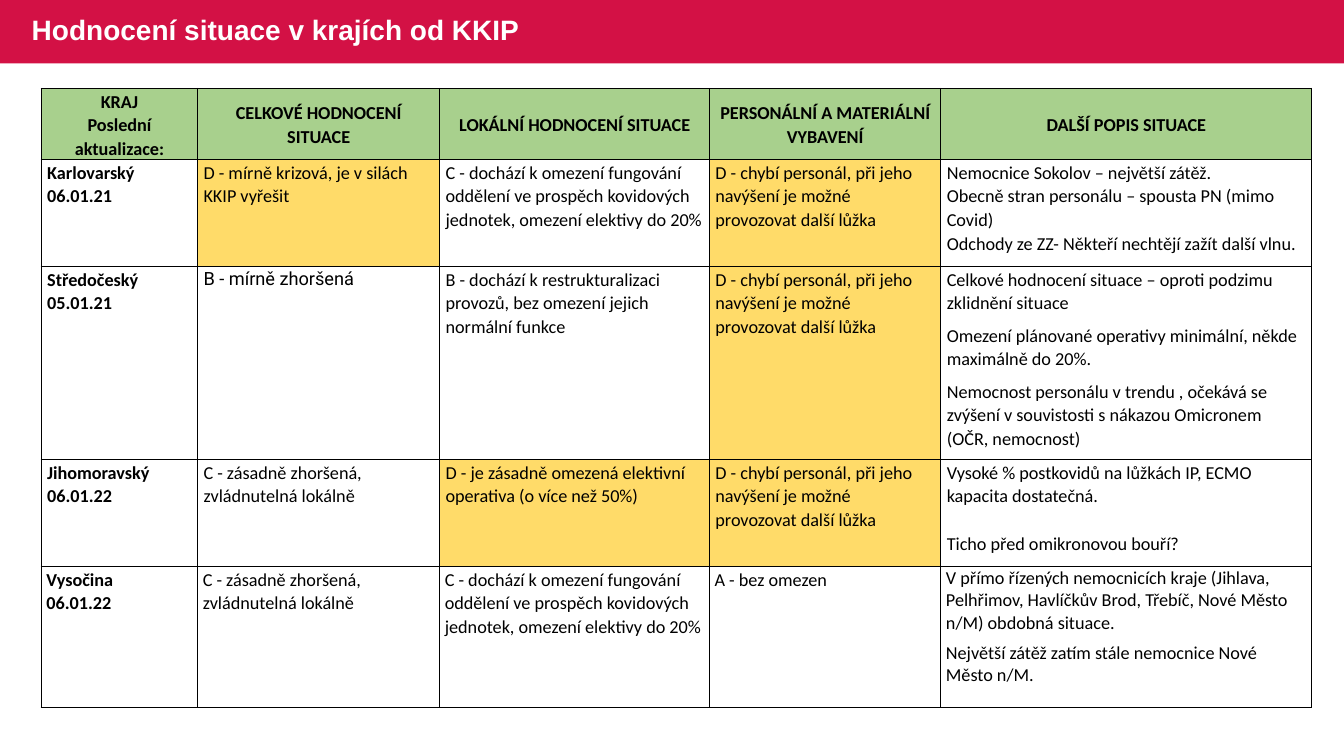
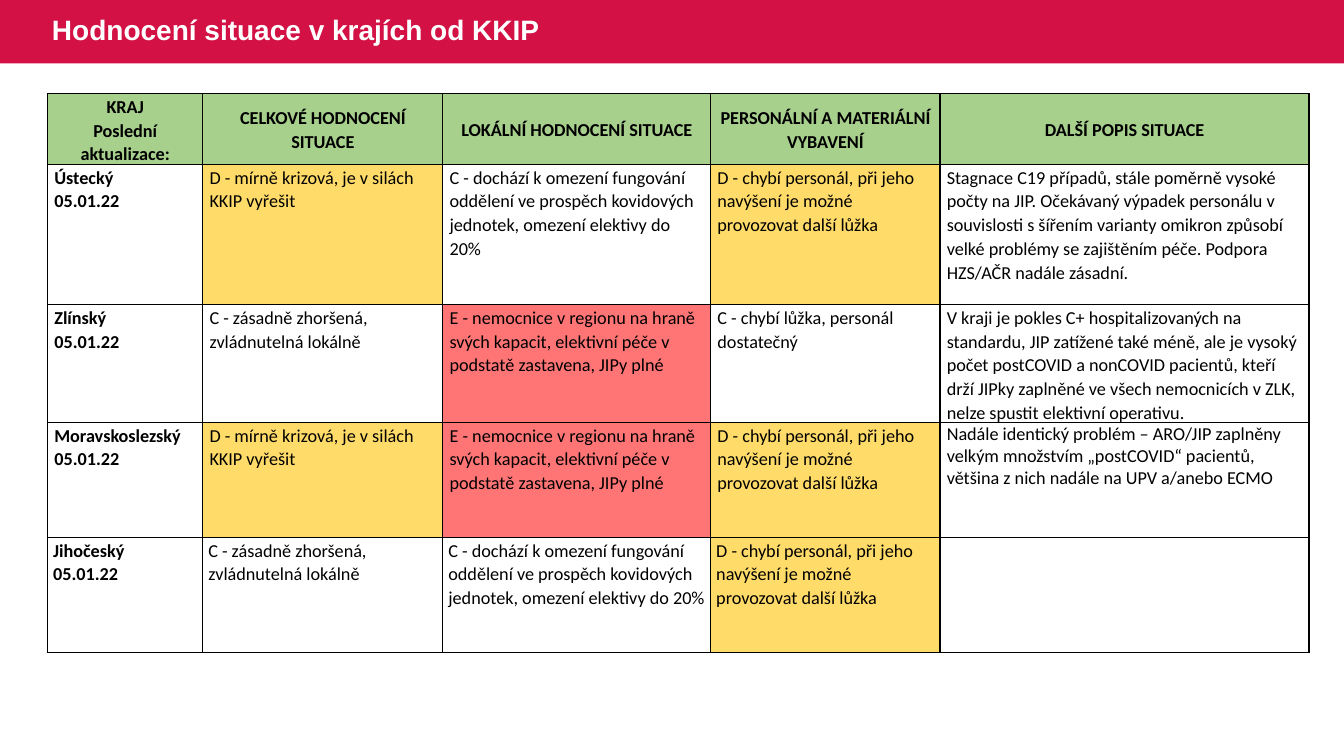
import dataclasses

import pptx
import pptx.dml.color
import pptx.enum.shapes
import pptx.enum.text
import pptx.oxml
import pptx.oxml.ns
import pptx.util
from pptx.util import Cm, Pt

# Shared look
SLIDE_WIDTH, SLIDE_HEIGHT = 33.87, 19.05
BAND_HEIGHT = 1.6
BAND_COLOR = "D31145"
HEADER_COLOR = "A8D08D"
WHITE, BLACK = "FFFFFF", "000000"
RATING_COLORS = {"D": "FFDB69", "E": "FF7575"}
TITLE = "Hodnocení situace v krajích od KKIP"
LINE_SPACING = 1.07
CENTER = pptx.enum.text.PP_ALIGN.CENTER
MIDDLE = pptx.enum.text.MSO_ANCHOR.MIDDLE

HEADERS = [
    ["KRAJ", "Poslední aktualizace:"],
    ["CELKOVÉ HODNOCENÍ SITUACE"],
    ["LOKÁLNÍ HODNOCENÍ SITUACE"],
    ["PERSONÁLNÍ A MATERIÁLNÍ VYBAVENÍ"],
    ["DALŠÍ POPIS SITUACE"],
]

# Rating scales, in column order
OVERALL = {
    "B": "mírně zhoršená",
    "C": "zásadně zhoršená, zvládnutelná lokálně",
    "D": "mírně krizová, je v silách KKIP vyřešit",
}
LOCAL = {
    "B": "dochází k restrukturalizaci provozů, bez omezení jejich normální funkce",
    "C": "dochází k omezení fungování oddělení ve prospěch kovidových jednotek, "
         "omezení elektivy do 20%",
    "D": "je zásadně omezená elektivní operativa (o více než 50%)",
    "E": "nemocnice v regionu na hraně svých kapacit, elektivní péče v podstatě "
         "zastavena, JIPy plné",
}
RESOURCES = {
    "A": "bez omezen",
    "C": "chybí lůžka, personál dostatečný",
    "D": "chybí personál, při jeho navýšení je možné provozovat další lůžka",
}
SCALES = [OVERALL, LOCAL, RESOURCES]


@dataclasses.dataclass
class Region:
    name: str
    updated: str
    ratings: str  # one letter per scale
    height: float
    margin: float
    notes: list
    note_gap: float = 0
    note_spacing: float = LINE_SPACING
    overall_font: str = "Calibri"


WEST_AND_CENTRE = [
    Region("Karlovarský", "06.01.21", "DCD", 2.7, 0.15, [
        "Nemocnice Sokolov – největší zátěž.",
        "Obecně stran personálu – spousta PN (mimo Covid)",
        "Odchody ze ZZ- Někteří nechtějí zažít další vlnu."]),
    Region("Středočeský", "05.01.21", "BBD", 4.86, 0.15, [
        "Celkové hodnocení situace – oproti podzimu zklidnění situace",
        "Omezení plánované operativy minimální, někde maximálně do 20%.",
        "Nemocnost personálu v trendu , očekává se zvýšení v souvistosti s nákazou "
        "Omicronem (OČR, nemocnost)"], note_gap=6, overall_font="Roboto"),
    Region("Jihomoravský", "06.01.22", "CDD", 2.7, 0.15, [
        "Vysoké % postkovidů na lůžkách IP, ECMO kapacita dostatečná.",
        "Ticho před omikronovou bouří?"], note_gap=17),
    Region("Vysočina", "06.01.22", "CCA", 3.56, 0.13, [
        "V přímo řízených nemocnicích kraje (Jihlava, Pelhřimov, Havlíčkův Brod, "
        "Třebíč, Nové Město n/M) obdobná situace.",
        "Největší zátěž zatím stále nemocnice Nové Město n/M."],
        note_gap=6, note_spacing=1),
]
NORTH_AND_SOUTH = [
    Region("Ústecký", "05.01.22", "DCD", 3.53, 0.17, [
        "Stagnace C19 případů, stále poměrně vysoké počty na JIP. Očekávaný výpadek "
        "personálu v souvislosti s šířením varianty omikron způsobí velké problémy se "
        "zajištěním péče. Podpora HZS/AČR nadále zásadní."]),
    Region("Zlínský", "05.01.22", "CEC", 2.9, 0.17, [
        "V kraji je pokles C+ hospitalizovaných na standardu, JIP zatížené také méně, "
        "ale je vysoký počet postCOVID a nonCOVID pacientů, kteří drží JIPky zaplněné "
        "ve všech nemocnicích v ZLK, nelze spustit elektivní operativu."]),
    Region("Moravskoslezský", "05.01.22", "DED", 2.9, 0.17, [
        "Nadále identický problém – ARO/JIP zaplněny velkým množstvím „postCOVID“ "
        "pacientů, většina z nich nadále na UPV a/anebo ECMO"], note_spacing=1),
    Region("Jihočeský", "05.01.22", "CCD", 2.9, 0.14, []),
]


def color(hex_code):
    return pptx.dml.color.RGBColor.from_string(hex_code)


def set_fill(target, hex_code):
    target.fill.solid()
    target.fill.fore_color.rgb = color(hex_code)


def write(frame, lines, size, font="Calibri", ink=BLACK, bold=False,
          align=None, spacing=LINE_SPACING, gap=0):
    for index, line in enumerate(lines):
        para = frame.add_paragraph() if index else frame.paragraphs[0]
        para.text = line
        para.alignment = align
        para.line_spacing = spacing
        para.space_before = Pt(gap if index else 0)
        for span in para.runs:
            span.font.name = font
            span.font.size = Pt(size)
            span.font.bold = bold
            span.font.color.rgb = color(ink)


def add_title_band(page, title_left):
    band = page.shapes.add_shape(pptx.enum.shapes.MSO_SHAPE.RECTANGLE,
                                 0, 0, Cm(SLIDE_WIDTH), Cm(BAND_HEIGHT))
    band.shadow.inherit = False
    set_fill(band, BAND_COLOR)
    band.line.fill.background()
    box = page.shapes.add_textbox(Cm(title_left), 0, Cm(20), Cm(BAND_HEIGHT))
    box.text_frame.word_wrap = True
    box.text_frame.vertical_anchor = MIDDLE
    write(box.text_frame, [TITLE], 20, "Arial", WHITE, True, spacing=0.9)


def add_borders(cell):
    properties = cell._tc.get_or_add_tcPr()
    for side in ("lnL", "lnR", "lnT", "lnB"):
        properties.append(pptx.oxml.parse_xml(
            f'<a:{side} {pptx.oxml.ns.nsdecls("a")} w="12700"><a:solidFill>'
            f'<a:srgbClr val="{BLACK}"/></a:solidFill></a:{side}>'))


def fill_cell(cell, lines, margin, background=WHITE, **style):
    add_borders(cell)
    set_fill(cell, background)
    cell.margin_left = cell.margin_right = Cm(margin)
    cell.margin_top, cell.margin_bottom = Cm(0.02), 0
    write(cell.text_frame, lines, 13, **style)


def add_region_row(table, row, region):
    table.rows[row].height = Cm(region.height)
    cells = list(table.rows[row].cells)
    fill_cell(cells[0], [region.name, region.updated], region.margin, bold=True)
    fonts = [region.overall_font, "Calibri", "Calibri"]
    for cell, scale, letter, font in zip(cells[1:4], SCALES, region.ratings, fonts):
        fill_cell(cell, [f"{letter} - {scale[letter]}"], region.margin,
                  RATING_COLORS.get(letter, WHITE), font=font)
    fill_cell(cells[4], region.notes, region.margin,
              spacing=region.note_spacing, gap=region.note_gap)


def add_region_table(page, left, top, widths, regions):
    header_height = 1.75
    height = header_height + sum(region.height for region in regions)
    table = page.shapes.add_table(len(regions) + 1, len(widths), Cm(left), Cm(top),
                                  Cm(sum(widths)), Cm(height)).table
    table.first_row = table.horz_banding = False
    for column, width in zip(table.columns, widths):
        column.width = Cm(width)
    # Header row
    table.rows[0].height = Cm(header_height)
    for cell, lines in zip(table.rows[0].cells, HEADERS):
        fill_cell(cell, lines, regions[0].margin, HEADER_COLOR, bold=True, align=CENTER)
        cell.vertical_anchor = MIDDLE
    # One row for each region
    for row, region in enumerate(regions, start=1):
        add_region_row(table, row, region)


def add_region_slide(deck, title_left, left, top, widths, regions):
    page = deck.slides.add_slide(deck.slide_layouts[6])
    add_title_band(page, title_left)
    add_region_table(page, left, top, widths, regions)


def main():
    deck = pptx.Presentation()
    deck.slide_width, deck.slide_height = Cm(SLIDE_WIDTH), Cm(SLIDE_HEIGHT)
    add_region_slide(deck, 0.55, 1.04, 2.23, [3.94, 6.1, 6.8, 5.83, 9.35],
                     WEST_AND_CENTRE)
    add_region_slide(deck, 1.06, 1.2, 2.36, [3.91, 6.05, 6.75, 5.78, 9.3],
                     NORTH_AND_SOUTH)
    deck.save("out.pptx")


if __name__ == "__main__":
    main()
